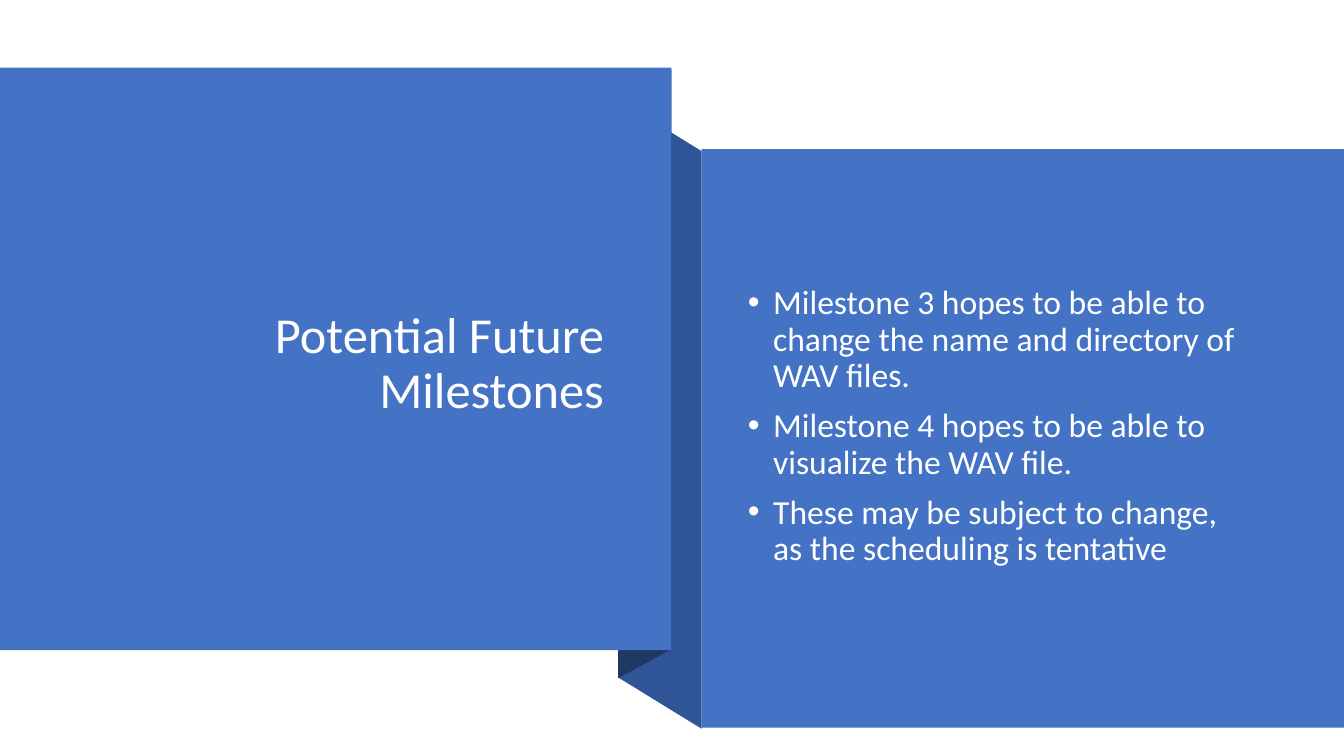
import pptx
import pptx.util
import pptx.dml.color
import pptx.enum.shapes
import pptx.enum.text
import pptx.oxml.ns
import lxml.etree

Inches, Pt = pptx.util.Inches, pptx.util.Pt
ALIGN = pptx.enum.text.PP_ALIGN


def paint(shape, color):
    shape.shadow.inherit = False
    shape.fill.solid()
    shape.fill.fore_color.rgb = pptx.dml.color.RGBColor.from_string(color)
    shape.line.fill.background()


def add_text(box, lines, size, color, align, space_before=0):
    tf = s.shapes.add_textbox(*[Inches(v) for v in box]).text_frame
    tf.word_wrap = True
    tf.vertical_anchor = pptx.enum.text.MSO_ANCHOR.MIDDLE
    tf.text = "\n".join(lines)
    for p in tf.paragraphs:
        p.alignment = align
        p.line_spacing = 0.9
        p.space_before = Pt(space_before)
        font = p.runs[0].font
        font.name, font.size = "Calibri", Pt(size)
        font.color.rgb = pptx.dml.color.RGBColor.from_string(color)
    return tf


prs = pptx.Presentation()
prs.slide_width, prs.slide_height = Inches(13.33), Inches(7.5)
s = prs.slides.add_slide(prs.slide_layouts[6])

# Ribbon folds between the panels
folds = [
    ("2F5597", [(6.96, 7.23), (6.13, 6.72), (6.13, 0.99), (6.96, 1.5)]),
    ("203864", [(6.66, 6.44), (6.13, 6.73), (6.13, 0.98), (6.66, 0.69)]),
]
for color, points in folds:
    corners = [(Inches(x), Inches(y)) for x, y in points]
    outline = s.shapes.build_freeform(*corners[0])
    outline.add_line_segments(corners[1:], close=True)
    paint(outline.convert_to_shape(), color)

# Title and body panels
for box in [(0, 0.67, 6.66, 5.78), (6.96, 1.48, 6.37, 5.74)]:
    panel = s.shapes.add_shape(pptx.enum.shapes.MSO_SHAPE.RECTANGLE,
                               *[Inches(v) for v in box])
    paint(panel, "4472C4")

# Title
add_text((0.95, 1.32, 5.14, 4.6), ["Potential Future Milestones"],
         36, "FFFFFF", ALIGN.RIGHT)

# Bulleted milestones
milestones = [
    "Milestone 3 hopes to be able to change the name and directory of WAV files.",
    "Milestone 4 hopes to be able to visualize the WAV file.",
    "These may be subject to change, as the scheduling is tentative",
]
tf = add_text((7.32, 1.85, 5.14, 4.77), milestones, 24, "FEFFFF", ALIGN.LEFT, 10)
for p in tf.paragraphs:
    pPr = p._p.get_or_add_pPr()
    pPr.set("marL", str(Inches(0.25)))
    pPr.set("indent", str(Inches(-0.25)))
    font = lxml.etree.SubElement(pPr, pptx.oxml.ns.qn("a:buFont"))
    font.set("typeface", "Arial")
    bullet = lxml.etree.SubElement(pPr, pptx.oxml.ns.qn("a:buChar"))
    bullet.set("char", "•")

prs.save("out.pptx")
